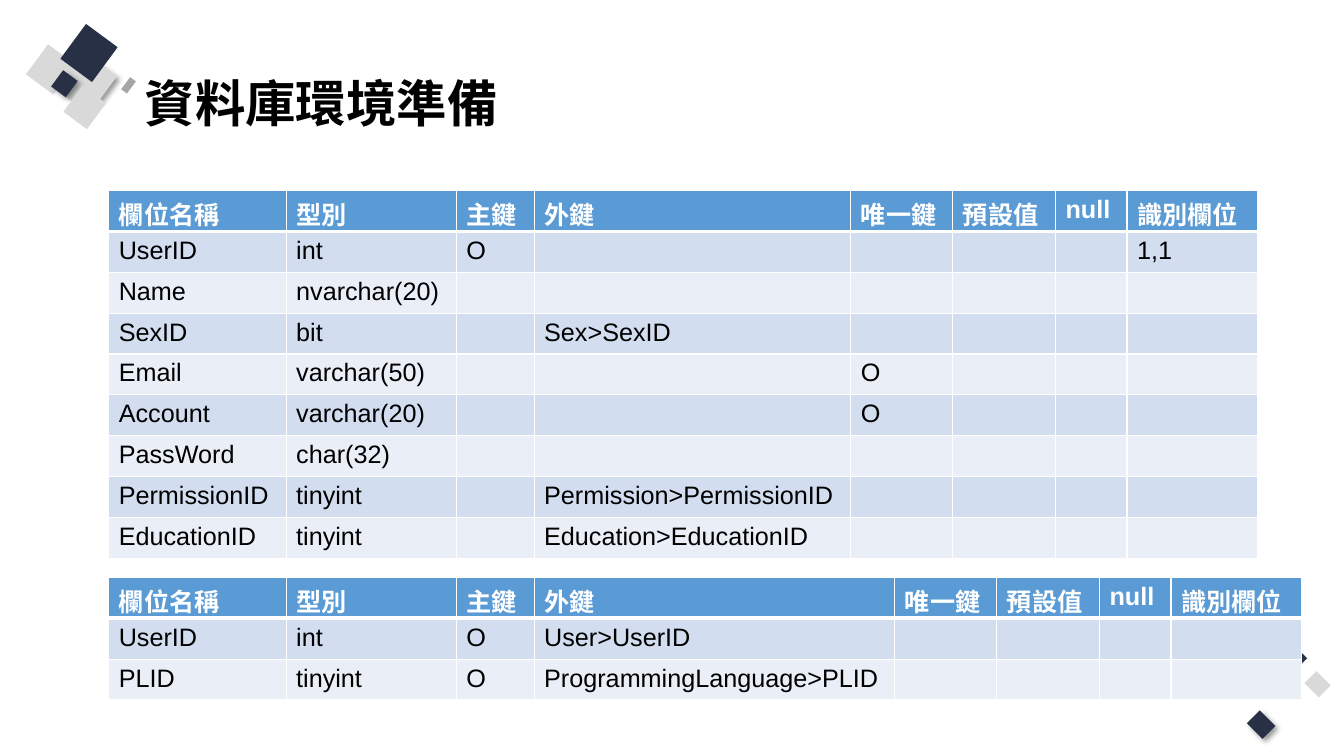
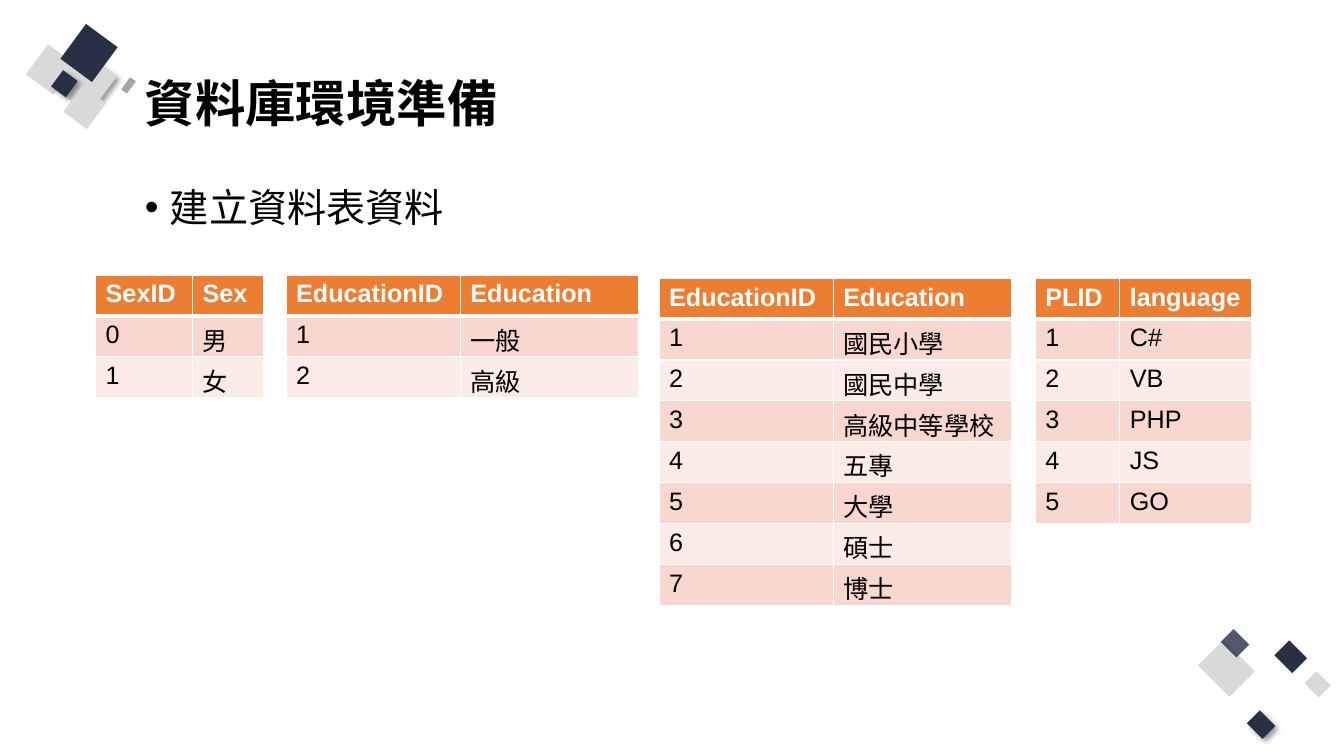
from lxml import etree
from pptx import Presentation
from pptx.dml.color import RGBColor
from pptx.enum.shapes import MSO_SHAPE
from pptx.enum.text import MSO_ANCHOR
from pptx.oxml.ns import qn
from pptx.util import Cm, Pt

RECTANGLE = MSO_SHAPE.RECTANGLE
MIDDLE, TOP = MSO_ANCHOR.MIDDLE, MSO_ANCHOR.TOP

FONT = "Arial"
COLORS = {
    "text": "000000", "white": "FFFFFF", "navy": "273045",
    "light_gray": "D9D9D9", "gray": "A6A6A6",
}
# Table themes: header, odd rows, even rows
SCHEMA_THEME = ("5B9BD5", "D2DEEF", "EAEFF7")
DATA_THEME = ("ED7D31", "F8D7CE", "FCECE8")

TITLE = "資料庫環境準備"
CONTENT_LEFT, CONTENT_WIDTH = 3.4, 26.8
ROW_HEIGHT = 1.03

# Corner squares: left, top, width, height, color, effect
TOP_SQUARES = [
    (3.05, 2.06, 0.38, 0.18, "gray", None),
    (0.81, 1.32, 0.94, 0.86, "light_gray", None),
    (2.03, 1.68, 0.79, 0.71, "light_gray", "shadow"),
    (1.75, 1.55, 0.48, 0.43, "light_gray", None),
    (1.42, 1.68, 0.84, 0.76, "light_gray", None),
    (1.37, 1.88, 0.51, 0.46, "navy", "shadow"),
    (1.7, 0.84, 1.09, 0.99, "navy", None),
    (1.73, 2.34, 0.81, 0.74, "light_gray", None),
]
BOTTOM_SQUARES = [
    (32.26, 16.23, 0.53, 0.64, "navy", None),
    (32.99, 16.99, 0.43, 0.51, "light_gray", None),
    (30.45, 16.28, 0.91, 1.12, "light_gray", None),
    (31.55, 17.98, 0.46, 0.56, "navy", "shadow"),
    (30.89, 15.93, 0.46, 0.56, "navy", "translucent"),
]

# Table contents
SCHEMA_HEADER = ["欄位名稱", "型別", "主鍵", "外鍵", "唯一鍵", "預設值", "null", "識別欄位"]
USER_FIELDS = [
    ["UserID", "int", "O", "", "", "", "", "1,1"],
    ["Name", "nvarchar(20)"],
    ["SexID", "bit", "", "Sex>SexID"],
    ["Email", "varchar(50)", "", "", "O"],
    ["Account", "varchar(20)", "", "", "O"],
    ["PassWord", "char(32)"],
    ["PermissionID", "tinyint", "", "Permission>PermissionID"],
    ["EducationID", "tinyint", "", "Education>EducationID"],
]
USER_LANGUAGE_FIELDS = [
    ["UserID", "int", "O", "User>UserID"],
    ["PLID", "tinyint", "O", "ProgrammingLanguage>PLID"],
]
SEXES = ["男", "女"]
LEVELS = ["一般", "高級"]
EDUCATIONS = ["國民小學", "國民中學", "高級中等學校", "五專", "大學", "碩士", "博士"]
LANGUAGES = ["C#", "VB", "PHP", "JS", "GO"]


def rgb(value):
    return RGBColor.from_string(value)


def add_child(parent, tag, **attributes):
    child = etree.SubElement(parent, qn(tag))
    for name, value in attributes.items():
        child.set(name, str(value))
    return child


def format_text(paragraph, size, color, bold=False):
    for run in paragraph.runs:
        run.font.name = FONT
        run.font.size = Pt(size)
        run.font.bold = bold
        run.font.color.rgb = rgb(color)


def add_square(slide, rotation, left, top, width, height, color, effect):
    square = slide.shapes.add_shape(
        RECTANGLE, Cm(left), Cm(top), Cm(width), Cm(height))
    square.rotation = rotation
    square.shadow.inherit = False
    square.fill.solid()
    square.fill.fore_color.rgb = rgb(COLORS[color])
    square.line.fill.background()
    properties = square._element.spPr
    if effect == "shadow":
        effects = properties.find(qn("a:effectLst"))
        shadow = add_child(effects, "a:outerShdw", blurRad=Pt(4), dist=Pt(3),
                           dir=45 * 60000, algn="tl", rotWithShape=0)
        shade = add_child(shadow, "a:srgbClr", val=COLORS["text"])
        add_child(shade, "a:alpha", val=40000)
    elif effect == "translucent":
        fill_color = properties.find(qn("a:solidFill")).find(qn("a:srgbClr"))
        add_child(fill_color, "a:alpha", val=80000)


def add_text(slide, text, top, height, size, bold=False, anchor=TOP):
    box = slide.shapes.add_textbox(
        Cm(CONTENT_LEFT), Cm(top), Cm(CONTENT_WIDTH), Cm(height))
    frame = box.text_frame
    frame.word_wrap = True
    frame.vertical_anchor = anchor
    frame.text = text
    paragraph = frame.paragraphs[0]
    paragraph.line_spacing = 0.9
    format_text(paragraph, size, COLORS["text"], bold)
    return paragraph


def add_bullet(slide, text):
    paragraph = add_text(slide, text, 4.62, 12.52, 28)
    paragraph.space_before = Pt(10)
    properties = paragraph._p.get_or_add_pPr()
    indent = Pt(18)
    properties.set("marL", str(indent))
    properties.set("indent", str(-indent))
    add_child(properties, "a:buFont", typeface=FONT)
    add_child(properties, "a:buChar", char="•")


def add_borders(cell, row_index):
    widths = {
        "a:lnL": 1, "a:lnR": 1,
        "a:lnT": 3 if row_index == 1 else 1,
        "a:lnB": 3 if row_index == 0 else 1,
    }
    properties = cell._tc.get_or_add_tcPr()
    for side, width in widths.items():
        line = add_child(properties, side, w=Pt(width))
        fill = add_child(line, "a:solidFill")
        add_child(fill, "a:srgbClr", val=COLORS["white"])


def add_table(slide, left, top, column_widths, rows, theme):
    frame = slide.shapes.add_table(
        len(rows), len(column_widths), Cm(left), Cm(top),
        Cm(sum(column_widths)), Cm(ROW_HEIGHT * len(rows)))
    table = frame.table
    table.horz_banding = False
    for column, width in zip(table.columns, column_widths):
        column.width = Cm(width)
    header_fill, odd_fill, even_fill = theme
    for row_index, texts in enumerate(rows):
        is_header = row_index == 0
        row_fill = header_fill if is_header else odd_fill if row_index % 2 else even_fill
        text_color = COLORS["white" if is_header else "text"]
        table.rows[row_index].height = Cm(ROW_HEIGHT)
        for column_index, cell in enumerate(table.rows[row_index].cells):
            add_borders(cell, row_index)
            cell.fill.solid()
            cell.fill.fore_color.rgb = rgb(row_fill)
            if column_index < len(texts):
                cell.text_frame.text = texts[column_index]
                format_text(cell.text_frame.paragraphs[0], 18, text_color, is_header)


def add_schema(slide, top, foreign_key_width, fields):
    widths = [4.47, 4.29, 1.96, foreign_key_width, 2.57, 2.59, 1.8, 3.28]
    add_table(slide, 2.74, top, widths, [SCHEMA_HEADER] + fields, SCHEMA_THEME)


def add_lookup(slide, left, top, widths, header, names, first_id=1):
    entries = [[str(number), name] for number, name in enumerate(names, first_id)]
    add_table(slide, left, top, widths, [header] + entries, DATA_THEME)


def add_base_slide(deck):
    slide = deck.slides.add_slide(deck.slide_layouts[6])
    for rotation, squares in ((306.4, TOP_SQUARES), (135, BOTTOM_SQUARES)):
        for square in squares:
            add_square(slide, rotation, *square)
    add_text(slide, TITLE, 1.02, 3.3, 36, bold=True, anchor=MIDDLE)
    return slide


def main():
    deck = Presentation()
    deck.slide_width, deck.slide_height = Cm(33.87), Cm(19.05)

    # Table definitions
    schema_slide = add_base_slide(deck)
    add_schema(schema_slide, 4.8, 7.98, USER_FIELDS)
    add_schema(schema_slide, 14.55, 9.09, USER_LANGUAGE_FIELDS)

    # Lookup data
    data_slide = add_base_slide(deck)
    add_bullet(data_slide, "建立資料表資料")
    education_header, education_widths = ["EducationID", "Education"], [4.39, 4.5]
    add_lookup(data_slide, 2.41, 6.93, [2.44, 1.8], ["SexID", "Sex"], SEXES, first_id=0)
    add_lookup(data_slide, 7.21, 6.93, education_widths, education_header, LEVELS)
    add_lookup(data_slide, 16.61, 7.01, education_widths, education_header, EDUCATIONS)
    add_lookup(data_slide, 26.09, 7.01, [2.13, 3.31], ["PLID", "language"], LANGUAGES)

    deck.save("out.pptx")


if __name__ == "__main__":
    main()
